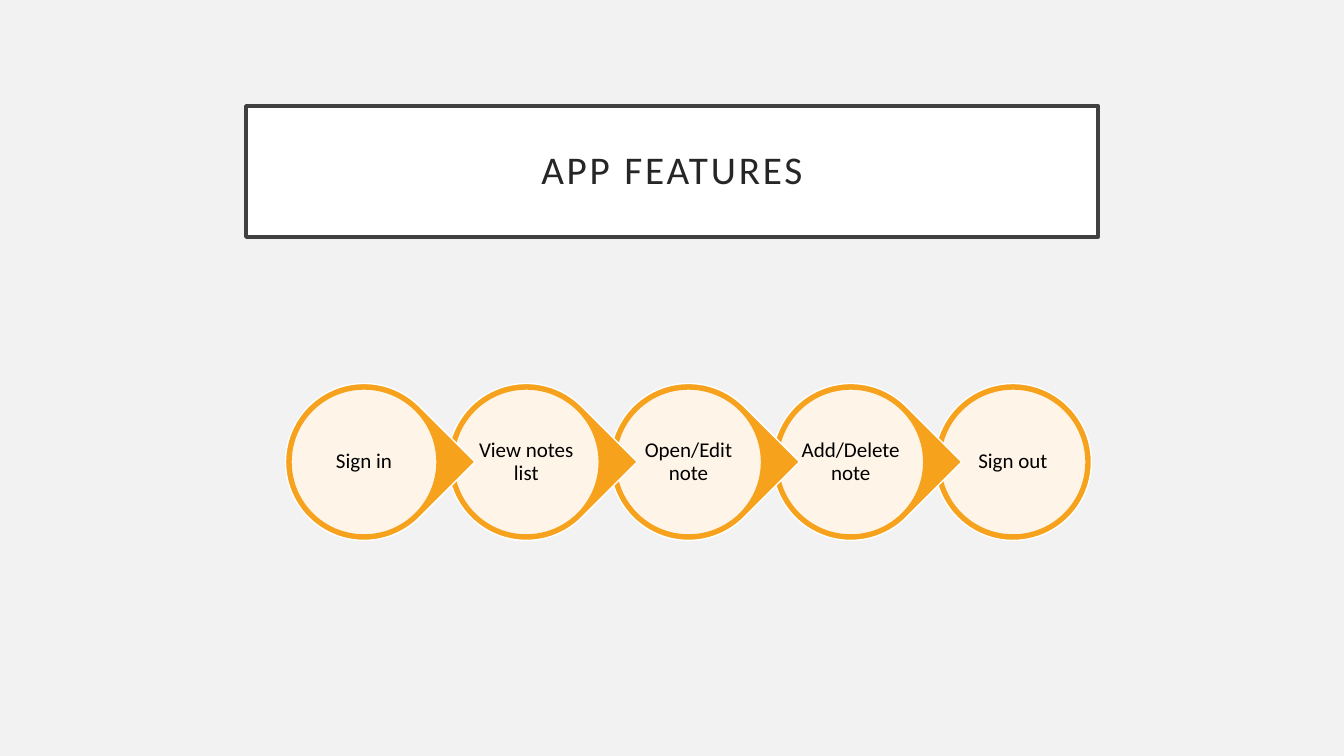
from dataclasses import dataclass

from lxml import etree
from pptx import Presentation
from pptx.dml import color as col
from pptx.enum import shapes, text
from pptx.oxml import ns
from pptx import util as u

PX = 914400 / 100.8  # EMU in one pixel


@dataclass
class Theme:
    back: str = "F2F2F2"
    white: str = "FFFFFF"
    frame: str = "404040"
    head: str = "262626"
    ink: str = "000000"
    gold: str = "F6A21D"
    font: str = "Calibri"
    big: int = 28
    small: int = 15


def rgb(code):
    return col.RGBColor.from_string(code)


def px(*vals):
    return [u.Emu(round(v * PX)) for v in vals]


class Deck:
    def __init__(self, theme):
        self.theme = theme
        self.prs = Presentation()
        self.prs.slide_width, self.prs.slide_height = px(1344, 756)
        self.slide = self.prs.slides.add_slide(self.prs.slide_layouts[5])
        back = self.slide.background.fill
        back.solid()
        back.fore_color.rgb = rgb(theme.back)
        self.group = None

    def paint(self, shape, fill, line, width, alpha=100):
        shape.fill.solid()
        shape.fill.fore_color.rgb = rgb(fill)
        shape.line.color.rgb = rgb(line)
        shape.line.width = u.Pt(width)
        if alpha < 100:
            tint = shape.fill._xPr.find(".//" + ns.qn("a:srgbClr"))
            etree.SubElement(tint, ns.qn("a:alpha"), val=str(alpha * 1000))

    def letter(self, shape, words, size, ink, inset):
        frame = shape.text_frame
        frame.text = words
        frame.word_wrap = True
        frame.auto_size = text.MSO_AUTO_SIZE.NONE
        frame.vertical_anchor = text.MSO_ANCHOR.MIDDLE
        frame.margin_left, frame.margin_top, frame.margin_right, frame.margin_bottom = px(*[inset] * 4)
        para = frame.paragraphs[0]
        para.alignment = text.PP_ALIGN.CENTER
        para.line_spacing = 0.9
        para.font.name = self.theme.font
        para.font.size = u.Pt(size)
        para.font.color.rgb = rgb(ink)
        return para

    def title(self, words, x, y, w, h):
        th = self.theme
        box = self.slide.shapes.title
        box.left, box.top, box.width, box.height = px(x, y, w, h)
        self.paint(box, th.white, th.frame, 2.5)
        para = self.letter(box, words, th.big, th.head, 20)
        para.runs[0].font._element.set("spc", "200")  # letter spacing, 2 pt

    def begin(self):
        self.group = self.slide.shapes.add_group_shape()

    def disc(self, kind, x, y, size, fill, line, alpha=100, turn=0):
        shape = self.group.shapes.add_shape(
            kind, *px(x - size / 2, y - size / 2, size, size))
        shape.shadow.inherit = False
        shape.rotation = turn
        self.paint(shape, fill, line, 1, alpha)

    def label(self, words, x, y, size):
        box = self.group.shapes.add_textbox(
            *px(x - size / 2, y - size / 2, size, size))
        para = self.letter(box, words, self.theme.small, self.theme.ink, 2)
        para.space_after = u.Pt(5)

    def step(self, words, x, y, last):
        th, kind = self.theme, shapes.MSO_SHAPE
        if last:
            self.disc(kind.OVAL, x, y, 157, th.gold, th.white)
        else:
            self.disc(kind.TEAR, x, y, 157, th.gold, th.white, turn=45)
        self.disc(kind.OVAL, x, y, 146, th.white, th.gold, alpha=90)
        self.label(words, x, y, 105)


deck = Deck(Theme())

# Heading
deck.title("APP FEATURES", 246, 106, 852, 131)

# Chain of steps, laid from the last so that each tip covers the next ring
steps = ["Sign in", "View notes list", "Open/Edit note", "Add/Delete note", "Sign out"]
first, final, middle = 364, 1013, 462
end = len(steps) - 1
gap = (final - first) / end
deck.begin()
for i in range(end, -1, -1):
    deck.step(steps[i], first + i * gap, middle, i == end)

deck.prs.save("out.pptx")
